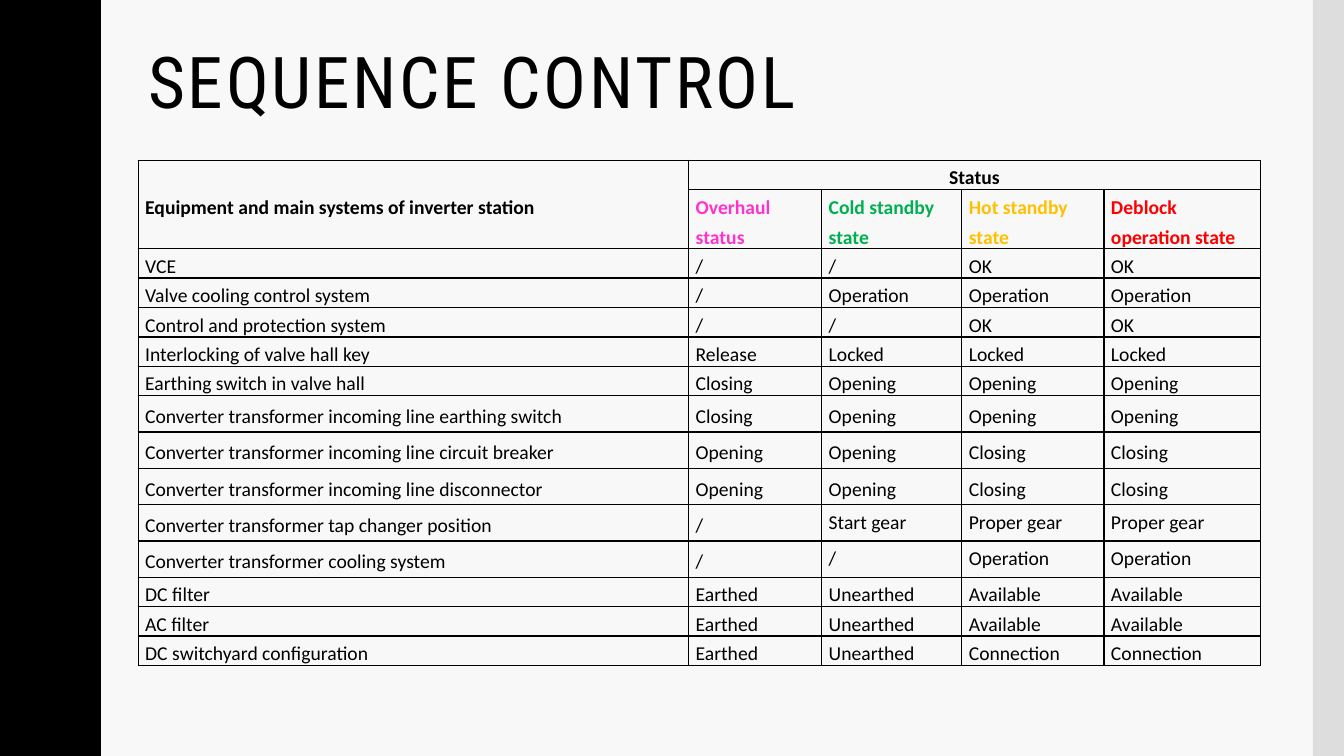
from pptx import Presentation
from pptx import util as u
from pptx.dml import color
from pptx.enum import shapes, text
from pptx.oxml import parse_xml
from pptx.oxml.ns import nsdecls

BLACK = "000000"
HALF_WAVE = [(0.78, 0), (0.78, 0.07), (0.79, 0.14), (0.8, 0.2), (0.81, 0.25),
             (0.83, 0.29), (0.85, 0.33), (0.87, 0.38), (0.89, 0.42), (0.91, 0.46),
             (0.93, 0.5), (0.95, 0.55), (0.96, 0.61), (0.97, 0.68), (0.97, 0.75)]
WAVE_PERIOD, WAVE_COUNT = 1.5, 5
COLUMN_WIDTHS = [5.46, 1.32, 1.39, 1.41, 1.55]
ROW_HEIGHTS = [0.18, 0.54] + [0.18] * 5 + [0.36] * 5 + [0.18] * 3
STATES = [("Overhaul status", "FF33CC"), ("Cold standby state", "00B050"),
          ("Hot standby state", "FFC000"), ("Deblock operation state", "FF0000")]
EQUIPMENT = [
    ("VCE", "/", "/", "OK", "OK"),
    ("Valve cooling control system", "/", "Operation", "Operation", "Operation"),
    ("Control and protection system", "/", "/", "OK", "OK"),
    ("Interlocking of valve hall key", "Release", "Locked", "Locked", "Locked"),
    ("Earthing switch in valve hall", "Closing", "Opening", "Opening", "Opening"),
    ("Converter transformer incoming line earthing switch",
     "Closing", "Opening", "Opening", "Opening"),
    ("Converter transformer incoming line circuit breaker",
     "Opening", "Opening", "Closing", "Closing"),
    ("Converter transformer incoming line disconnector",
     "Opening", "Opening", "Closing", "Closing"),
    ("Converter transformer tap changer position",
     "/", "Start gear", "Proper gear", "Proper gear"),
    ("Converter transformer cooling system", "/", "/", "Operation", "Operation"),
    ("DC filter", "Earthed", "Unearthed", "Available", "Available"),
    ("AC filter", "Earthed", "Unearthed", "Available", "Available"),
    ("DC switchyard configuration", "Earthed", "Unearthed", "Connection", "Connection"),
]
FIRST_TOP_ROW, FIRST_TOP_COLUMN = 10, 2


def paint(fill, hex_color):
    """Give a fill one solid colour."""
    fill.solid()
    fill.fore_color.rgb = color.RGBColor.from_string(hex_color)


def write(frame, words, size=14, font="Calibri", hex_color=BLACK, bold=False,
          align=text.PP_ALIGN.LEFT, line=1.25, tracking=0):
    """Write one formatted paragraph into a text frame."""
    frame.word_wrap = True
    para = frame.paragraphs[0]
    para.alignment = align
    para.line_spacing = line
    span = para.add_run()
    span.text = words
    span.font.size = u.Pt(size)
    span.font.name = font
    span.font.bold = bold
    paint(span.font.fill, hex_color)
    if tracking:
        span._r.get_or_add_rPr().set("spc", str(tracking * 100))


def finish(shape, hex_color):
    """Fill a shape and remove its outline and shadow."""
    paint(shape.fill, hex_color)
    shape.line.fill.background()
    shape.shadow.inherit = False


def add_wave(page, left, top):
    """Draw the wavy band with its upper left corner at the given point."""
    mirrored = [(x, WAVE_PERIOD - y) for x, y in HALF_WAVE[-2::-1]]
    period = HALF_WAVE + mirrored
    edge = [(left + x, top + y + number * WAVE_PERIOD)
            for number in range(WAVE_COUNT) for x, y in period]
    outline = page.shapes.build_freeform(left, top, scale=u.Inches(1))
    outline.add_line_segments(edge + [(left, top + WAVE_PERIOD * WAVE_COUNT)], close=True)
    finish(outline.convert_to_shape(), BLACK)


def add_side_strip(page, *box):
    """Draw the grey strip in the given box."""
    strip = page.shapes.add_shape(shapes.MSO_SHAPE.RECTANGLE, *map(u.Inches, box))
    finish(strip, "DDDDDD")


def add_title(page, words, *box):
    """Write the slide title in the given box."""
    title = page.shapes.add_textbox(*map(u.Inches, box))
    title.text_frame.vertical_anchor = text.MSO_ANCHOR.TOP
    write(title.text_frame, words, size=51, font="Roboto Condensed", line=0.9, tracking=2)


def format_cell(cell, anchor):
    """Set margins, anchor, empty fill and thin black borders of a cell."""
    cell.margin_left = cell.margin_right = u.Inches(0.07)
    cell.margin_top = cell.margin_bottom = 0
    cell.vertical_anchor = anchor
    cell.fill.background()
    properties = cell._tc.get_or_add_tcPr()
    for index, side in enumerate(("lnL", "lnR", "lnT", "lnB")):
        properties.insert(index, parse_xml(
            f'<a:{side} {nsdecls("a")} w="{u.Pt(1)}"><a:solidFill>'
            f'<a:srgbClr val="{BLACK}"/></a:solidFill></a:{side}>'))


def add_status_table(page, *box):
    """Build the table of equipment states in the given box."""
    holder = page.shapes.add_table(len(ROW_HEIGHTS), len(COLUMN_WIDTHS), *map(u.Inches, box))
    table = holder.table
    table.first_row = table.horz_banding = False
    for column, width in zip(table.columns, COLUMN_WIDTHS):
        column.width = u.Inches(width)
    for row_index, height in enumerate(ROW_HEIGHTS):
        table.rows[row_index].height = u.Inches(height)
        for column_index in range(len(COLUMN_WIDTHS)):
            at_top = row_index >= FIRST_TOP_ROW and column_index >= FIRST_TOP_COLUMN
            anchor = text.MSO_ANCHOR.TOP if at_top else text.MSO_ANCHOR.MIDDLE
            format_cell(table.cell(row_index, column_index), anchor)
    holder.height = u.Inches(box[3])

    table.cell(0, 0).merge(table.cell(1, 0))
    table.cell(0, 1).merge(table.cell(0, len(STATES)))
    write(table.cell(0, 0).text_frame, "Equipment and main systems of inverter station", bold=True)
    write(table.cell(0, 1).text_frame, "Status", bold=True, align=text.PP_ALIGN.CENTER)
    for column_index, (state, hex_color) in enumerate(STATES, 1):
        write(table.cell(1, column_index).text_frame, state, hex_color=hex_color, bold=True)
    for row_index, entries in enumerate(EQUIPMENT, 2):
        for column_index, entry in enumerate(entries):
            write(table.cell(row_index, column_index).text_frame, entry)


def main():
    """Build and save the deck."""
    deck = Presentation()
    deck.slide_width, deck.slide_height = u.Inches(13.33), u.Inches(7.5)
    page = deck.slides.add_slide(deck.slide_layouts[6])
    paint(page.background.fill, "F8F8F8")
    add_wave(page, 0, 0)
    add_side_strip(page, 13.02, 0, 0.31, 7.5)
    add_title(page, "SEQUENCE CONTROL", 1.37, 0.42, 11.13, 1.63)
    add_status_table(page, 1.37, 1.59, 11.13, 4.99)
    deck.save("out.pptx")


if __name__ == "__main__":
    main()
